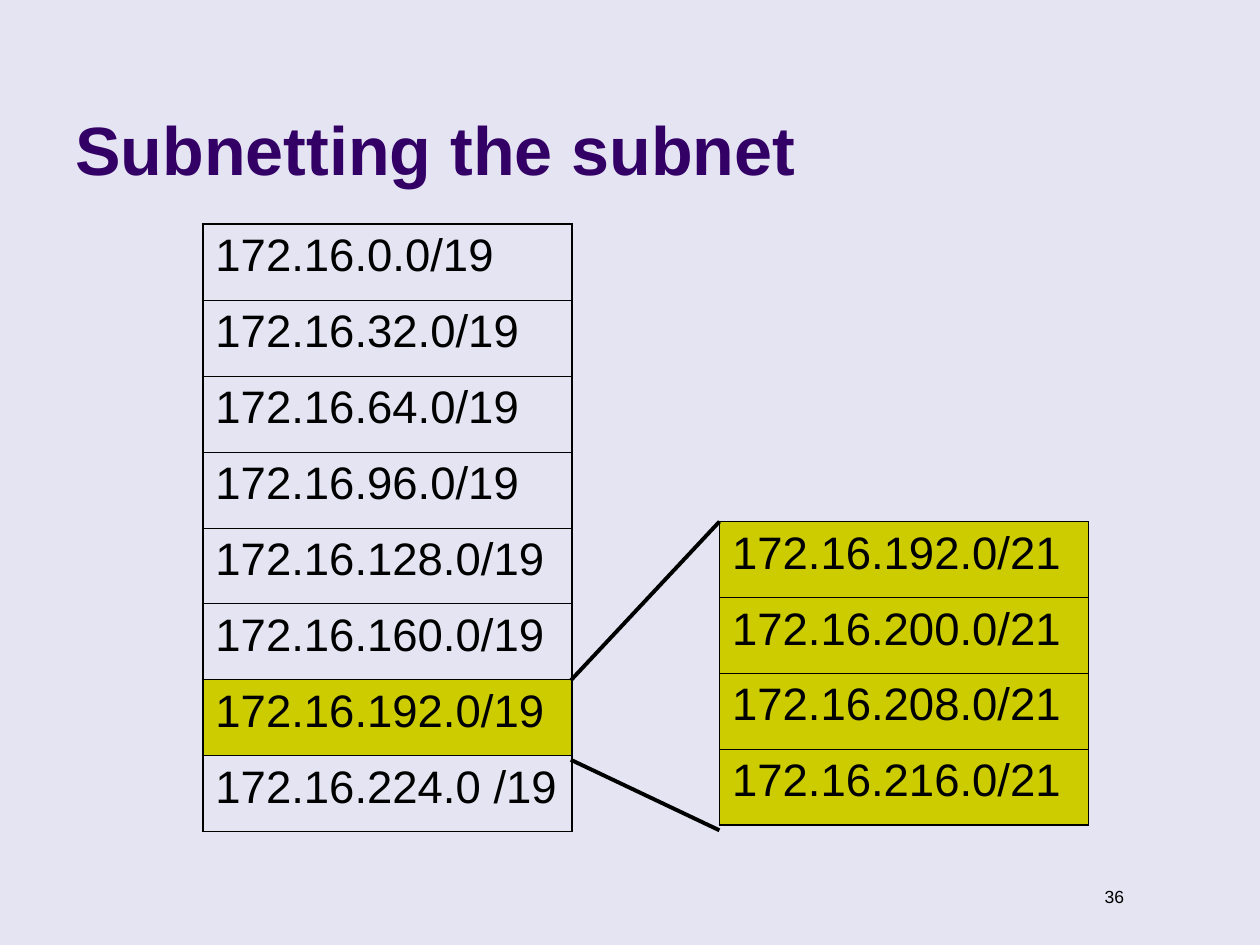
from lxml.etree import SubElement
from pptx import Presentation
from pptx.dml.color import RGBColor
from pptx.enum.shapes import MSO_CONNECTOR
from pptx.enum.text import MSO_ANCHOR, PP_ALIGN
from pptx.oxml.ns import qn
from pptx.util import Inches, Pt

ROW, COL = 4.82 / 8, 2.93
GOLD, BLACK = "CCCC00", "000000"


def paint(color, code):
    color.rgb = RGBColor.from_string(code)


def write(frame, text, code, para, font):
    line = frame.paragraphs[0]
    line.text = text
    for key, val in para.items():
        setattr(line, key, val)
    face = line.runs[0].font
    for key, val in {"name": "Arial", **font}.items():
        setattr(face, key, val)
    paint(face.color, code)


deck = Presentation()
deck.slide_width, deck.slide_height = Inches(10), Inches(7.5)
slide = deck.slides.add_slide(deck.slide_layouts[6])
back = slide.background.fill
back.solid()
paint(back.fore_color, "E4E4F2")

# Title and page number
labels = [
    ((0.5, 0.13, 8.25, 1.42), "Subnetting the subnet", "330066", MSO_ANCHOR.BOTTOM,
     {}, {"size": Pt(39), "bold": True}),
    ((8.39, 6.98, 0.63, 0.27), "36", BLACK, MSO_ANCHOR.TOP,
     {"alignment": PP_ALIGN.RIGHT, "space_before": Pt(6.2)}, {"size": Pt(10)}),
]
for box, text, code, anchor, para, font in labels:
    frame = slide.shapes.add_textbox(*map(Inches, box)).text_frame
    frame.word_wrap = True
    frame.vertical_anchor = anchor
    write(frame, text, code, para, font)

# Subnet tables: left, top, addresses, highlighted rows
wide = [f"172.16.{32 * i}.0/19" for i in range(7)] + ["172.16.224.0 /19"]
fine = [f"172.16.{192 + 8 * i}.0/21" for i in range(4)]
for left, top, nets, marked in [(1.61, 1.78, wide, {6}), (5.71, 4.14, fine, set(range(4)))]:
    rows = len(nets)
    table = slide.shapes.add_table(rows, 1, Inches(left), Inches(top),
                                   Inches(COL), Inches(ROW * rows)).table
    table.first_row = table.horz_banding = False
    for i, net in enumerate(nets):
        table.rows[i].height = Inches(ROW)
        cell = table.cell(i, 0)
        write(cell.text_frame, net, BLACK, {"space_before": Pt(6.5)}, {"size": Pt(26)})

        # Thick outer borders, thin inner ones
        edges = {"L": 1.08, "R": 1.08, "T": 0.45 if i else 1.08,
                 "B": 0.45 if i < rows - 1 else 1.08}
        props = cell._tc.get_or_add_tcPr()
        for side, width in edges.items():
            edge = SubElement(props, qn(f"a:ln{side}"), w=str(Pt(width)))
            SubElement(SubElement(edge, qn("a:solidFill")), qn("a:srgbClr"), val=BLACK)

        if i in marked:
            cell.fill.solid()
            paint(cell.fill.fore_color, GOLD)
        else:
            cell.fill.background()

# Lines from the split subnet to its parts
for ends in [(4.53, 5.4, 5.71, 4.14), (4.53, 6.03, 5.71, 6.59)]:
    link = slide.shapes.add_connector(MSO_CONNECTOR.STRAIGHT, *map(Inches, ends))
    link.line.width = Pt(2.25)
    paint(link.line.color, BLACK)
    SubElement(link._element.spPr, qn("a:effectLst"))

deck.save("out.pptx")
